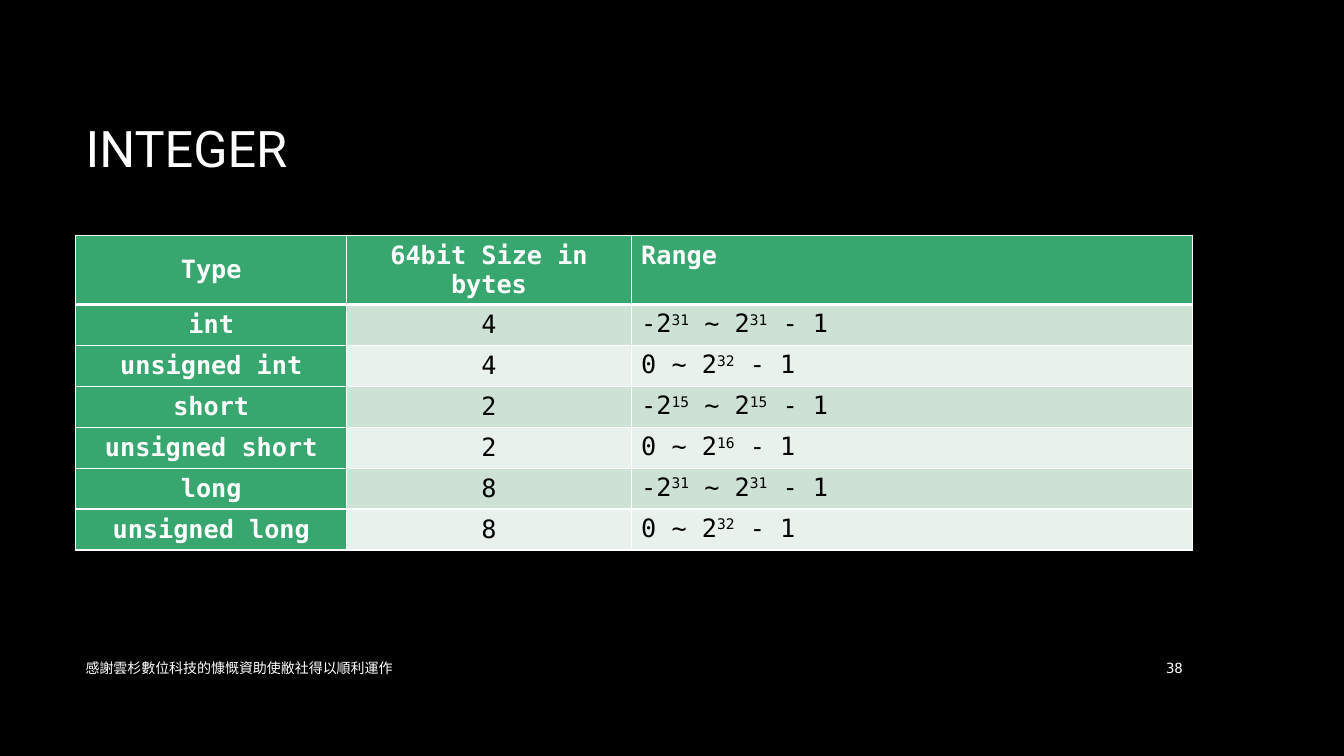
import pptx
import pptx.dml.color
import pptx.enum.text
import pptx.oxml
import pptx.oxml.ns
import pptx.util

Inches = pptx.util.Inches
ALIGN = pptx.enum.text.PP_ALIGN
ANCHOR = pptx.enum.text.MSO_ANCHOR
COLORS = {
    "background": "000000",
    "light": "FFFFFF",
    "dark": "000000",
    "green": "37A76F",
    "odd": "CEE1D5",
    "even": "E8F1EB",
}


def rgb(name):
    return pptx.dml.color.RGBColor.from_string(COLORS[name])


def write(frame, text, *, size, font="DejaVu Sans Mono", color="light",
          bold=False, align=ALIGN.LEFT, anchor=ANCHOR.MIDDLE):
    """Fill a text frame; text between a pair of ^ marks is superscript."""
    frame.word_wrap = True
    frame.vertical_anchor = anchor
    para = frame.paragraphs[0]
    para.alignment = align
    for index, piece in enumerate(text.split("^")):
        span = para.add_run()
        span.text = piece
        span.font.name = font
        span.font.size = pptx.util.Pt(size)
        span.font.bold = bold
        span.font.color.rgb = rgb(color)
        properties = span.font._element
        for tag in ("a:ea", "a:cs"):
            face = properties.makeelement(pptx.oxml.ns.qn(tag), {"typeface": font})
            properties.append(face)
        if index % 2:
            properties.set("baseline", "30000")


deck = pptx.Presentation()
deck.slide_width = Inches(13.33)
deck.slide_height = Inches(7.5)
page = deck.slides.add_slide(deck.slide_layouts[5])
page.background.fill.solid()
page.background.fill.fore_color.rgb = rgb("background")

title = page.shapes.title
title.left, title.top = Inches(0.75), Inches(0.67)
title.width, title.height = Inches(11.08), Inches(1.59)
write(title.text_frame, "INTEGER", size=36, font="Roboto")

rows = [
    ("Type", "64bit Size in bytes", "Range"),
    ("int", "4", "-2^31^ ~ 2^31^ - 1"),
    ("unsigned int", "4", "0 ~ 2^32^ - 1"),
    ("short", "2", "-2^15^ ~ 2^15^ - 1"),
    ("unsigned short", "2", "0 ~ 2^16^ - 1"),
    ("long", "8", "-2^31^ ~ 2^31^ - 1"),
    ("unsigned long", "8", "0 ~ 2^32^ - 1"),
]
row_height = 0.406
table = page.shapes.add_table(
    len(rows), 3, Inches(0.75), Inches(2.34),
    Inches(11.08), Inches(row_height * len(rows))).table
for column, width in zip(table.columns, (2.69, 2.82, 5.57)):
    column.width = Inches(width)

for row_index, row in enumerate(rows):
    for column_index, text in enumerate(row):
        cell = table.cell(row_index, column_index)
        heading = row_index == 0 or column_index == 0
        is_range = column_index == 2
        # Borders must come before the fill in the cell properties.
        properties = cell._tc.get_or_add_tcPr()
        for side in "LRTB":
            thick = (row_index, side) in ((0, "B"), (1, "T"))
            width = pptx.util.Pt(3 if thick else 1)
            properties.append(pptx.oxml.parse_xml(
                f'<a:ln{side} {pptx.oxml.ns.nsdecls("a")} w="{width}"><a:solidFill>'
                f'<a:srgbClr val="{COLORS["light"]}"/></a:solidFill></a:ln{side}>'))
        cell.fill.solid()
        band = "odd" if row_index % 2 else "even"
        cell.fill.fore_color.rgb = rgb("green" if heading else band)
        cell.vertical_anchor = ANCHOR.TOP if is_range else ANCHOR.MIDDLE
        write(cell.text_frame, text, size=18, bold=heading,
              color="light" if heading else "dark",
              align=ALIGN.LEFT if is_range else ALIGN.CENTER,
              anchor=None)

footers = [
    (0.75, 8.56, "感謝雲杉數位科技的慷慨資助使敝社得以順利運作", ALIGN.LEFT),
    (11.23, 0.6, "38", ALIGN.RIGHT),
]
for left, width, text, align in footers:
    box = page.shapes.add_textbox(Inches(left), Inches(6.42), Inches(width), Inches(0.41))
    write(box.text_frame, text, size=10, align=align)

deck.save("out.pptx")
